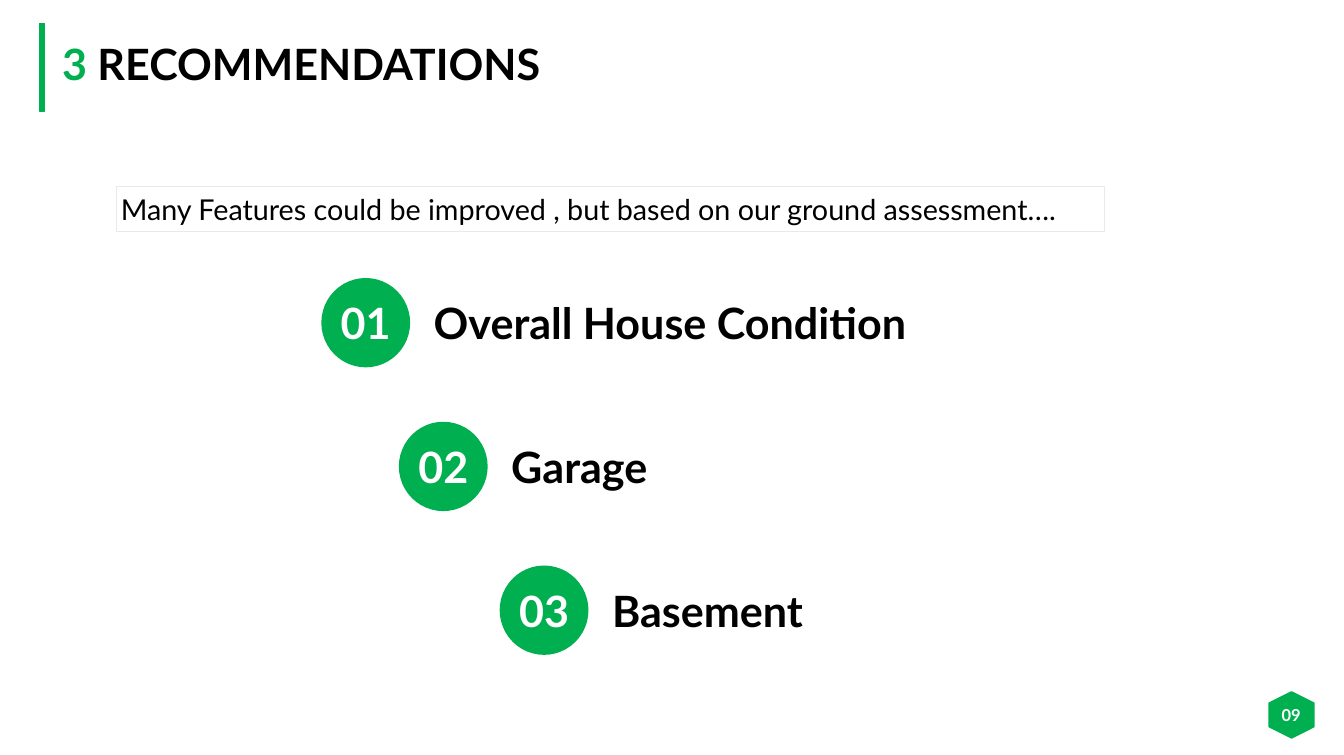
"""Build the recommendations slide."""
from dataclasses import dataclass

from pptx import Presentation
from pptx.dml.color import RGBColor
from pptx.enum.shapes import MSO_SHAPE as Shape
from pptx.enum.text import MSO_ANCHOR as Anchor, MSO_AUTO_SIZE as AutoSize, PP_ALIGN as Align
from pptx.shapes.autoshape import Shape as AutoShape
from pptx.slide import Slide
from pptx.text.text import TextFrame
from pptx.util import Inches, Pt


@dataclass(frozen=True)
class Theme:
    """Colours, font and type sizes of the slide."""
    green: RGBColor = RGBColor(0x00, 0xB0, 0x50)
    black: RGBColor = RGBColor(0x00, 0x00, 0x00)
    white: RGBColor = RGBColor(0xFF, 0xFF, 0xFF)
    border: RGBColor = RGBColor(0xEA, 0xE9, 0xE7)
    font: str = "Lato"
    heading: int = 60
    text: int = 40
    page: int = 23


@dataclass(frozen=True)
class Box:
    """A position and size in inches."""
    left: float
    top: float
    width: float
    height: float

    def lengths(self) -> tuple[Inches, ...]:
        """Return the four values as lengths."""
        return tuple(Inches(n) for n in (self.left, self.top, self.width, self.height))


@dataclass(frozen=True)
class Recommendation:
    """A numbered recommendation with its indent and label width."""
    label: str
    left: float
    label_width: float


THEME = Theme()
RECOMMENDATIONS = (
    Recommendation("Overall House Condition", 6.23, 10.37),
    Recommendation("Garage", 7.73, 10.06),
    Recommendation("Basement", 9.68, 6.22),
)
FIRST_TOP, ROW_STEP = 5.39, 2.78
CIRCLE_WIDTH, CIRCLE_HEIGHT = 1.69, 1.7
LABEL_SHIFT, LABEL_DROP, LABEL_HEIGHT = 1.97, 0.25, 1.21


def format_text(frame: TextFrame, size: int, color: RGBColor, bold: bool = True,
                align: Align = Align.LEFT, anchor: Anchor = Anchor.TOP,
                side: float = 0.19, edge: float = 0.1) -> None:
    """Format every run and set the margins and alignment of a frame."""
    frame.word_wrap = True
    frame.auto_size = AutoSize.NONE
    frame.vertical_anchor = anchor
    frame.margin_left = frame.margin_right = Inches(side)
    frame.margin_top = frame.margin_bottom = Inches(edge)
    for paragraph in frame.paragraphs:
        paragraph.alignment = align
        for run in paragraph.runs:
            run.font.name = THEME.font
            run.font.size = Pt(size)
            run.font.bold = bold
            run.font.color.rgb = color


def add_green_shape(slide: Slide, kind: Shape, box: Box) -> AutoShape:
    """Add a solid green shape."""
    shape = slide.shapes.add_shape(kind, *box.lengths())
    shape.shadow.inherit = False
    shape.fill.solid()
    shape.fill.fore_color.rgb = THEME.green
    shape.line.color.rgb = THEME.green
    shape.line.width = Pt(2)
    return shape


def add_title(slide: Slide) -> None:
    """Fill the title placeholder and draw the bar beside it."""
    title = slide.shapes.title
    title.left, title.top, title.width, title.height = Box(1.01, 0.63, 10.59, 1.21).lengths()
    paragraph = title.text_frame.paragraphs[0]
    paragraph.text = "3 "
    paragraph.add_run().text = "RECOMMENDATIONS"
    format_text(title.text_frame, THEME.heading, THEME.black)
    paragraph.runs[0].font.color.rgb = THEME.green
    add_green_shape(slide, Shape.RECTANGLE, Box(0.76, 0.45, 0.1, 1.7))


def add_page_number(slide: Slide, number: str) -> None:
    """Draw the page number on an upright hexagon."""
    add_green_shape(slide, Shape.HEXAGON, Box(24.54, 13.39, 0.89, 0.87)).rotation = 270
    text_box = slide.shapes.add_textbox(*Box(24.55, 13.53, 0.86, 0.59).lengths())
    text_box.text_frame.text = number
    format_text(text_box.text_frame, THEME.page, THEME.white,
                align=Align.CENTER, anchor=Anchor.MIDDLE)


def add_intro(slide: Slide, text: str) -> None:
    """Draw the outlined introduction."""
    shape = slide.shapes.add_shape(Shape.RECTANGLE, *Box(2.24, 3.6, 19.12, 0.88).lengths())
    shape.shadow.inherit = False
    shape.fill.background()
    shape.line.color.rgb = THEME.border
    shape.line.width = Pt(0.75)
    shape.text_frame.text = text
    format_text(shape.text_frame, THEME.text, THEME.black, bold=False, side=0.1)
    shape.text_frame.auto_size = AutoSize.SHAPE_TO_FIT_TEXT


def add_recommendation(slide: Slide, index: int, item: Recommendation) -> None:
    """Draw one numbered circle and its label."""
    top = FIRST_TOP + index * ROW_STEP
    label = slide.shapes.add_textbox(*Box(item.left + LABEL_SHIFT, top + LABEL_DROP,
                                          item.label_width, LABEL_HEIGHT).lengths())
    label.text_frame.text = item.label
    format_text(label.text_frame, THEME.heading, THEME.black)
    circle = add_green_shape(slide, Shape.OVAL,
                             Box(item.left, top, CIRCLE_WIDTH, CIRCLE_HEIGHT))
    circle.text_frame.text = f"{index + 1:02d}"
    format_text(circle.text_frame, THEME.heading, THEME.white,
                align=Align.CENTER, anchor=Anchor.MIDDLE, side=0, edge=0)


def main() -> None:
    """Build and save the presentation."""
    presentation = Presentation()
    presentation.slide_width, presentation.slide_height = Inches(26), Inches(14.6)
    slide = presentation.slides.add_slide(presentation.slide_layouts.get_by_name("Title Only"))
    add_title(slide)
    add_page_number(slide, "09")
    add_intro(slide, "Many Features could be improved , but based on our ground assessment….")
    for index, item in enumerate(RECOMMENDATIONS):
        add_recommendation(slide, index, item)
    presentation.save("out.pptx")


if __name__ == "__main__":
    main()
